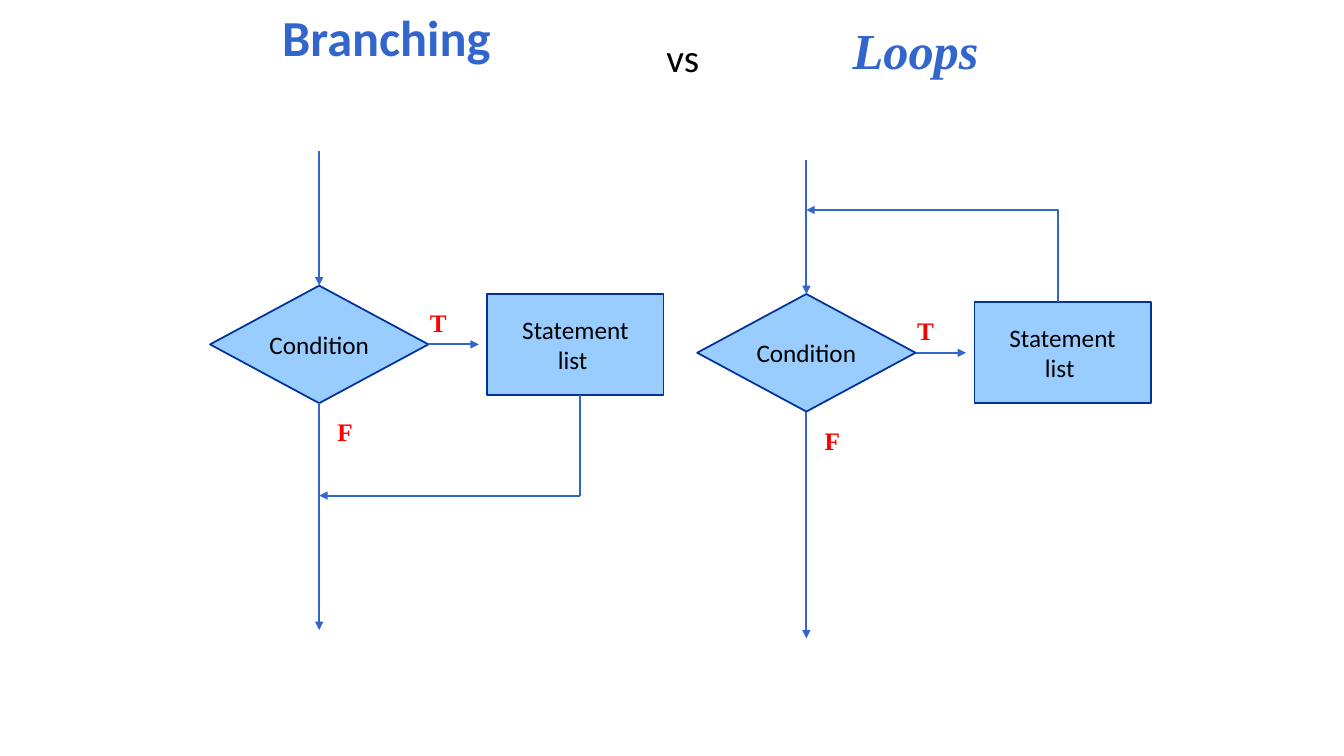
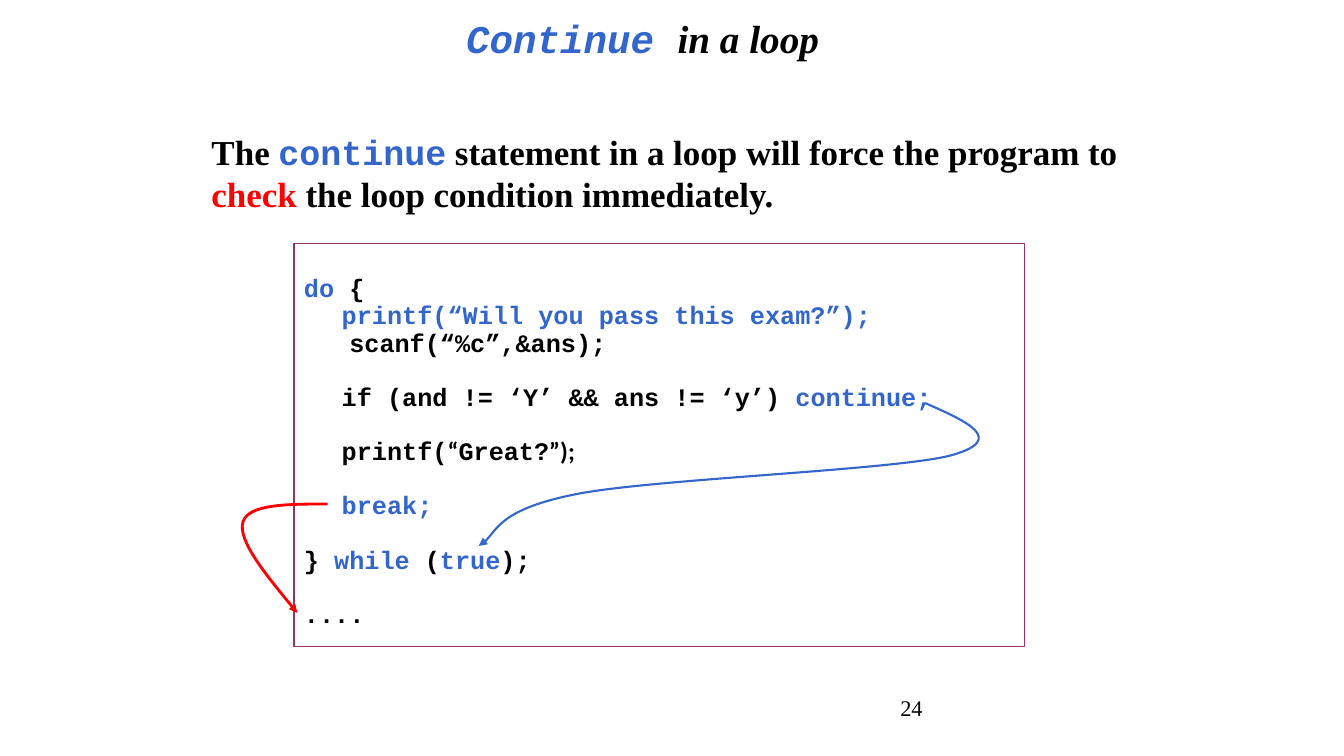
from dataclasses import dataclass
from typing import Optional

from lxml import etree
from pptx import Presentation
from pptx.dml.color import RGBColor
from pptx.enum.shapes import MSO_CONNECTOR, MSO_SHAPE
from pptx.enum.text import MSO_ANCHOR, PP_ALIGN
from pptx.oxml.ns import qn
from pptx.util import Pt

DECISION = MSO_SHAPE.FLOWCHART_DECISION
PROCESS = MSO_SHAPE.FLOWCHART_PROCESS
RECTANGLE = MSO_SHAPE.RECTANGLE
STRAIGHT = MSO_CONNECTOR.STRAIGHT
TOP, MIDDLE = MSO_ANCHOR.TOP, MSO_ANCHOR.MIDDLE
LEFT, CENTER = PP_ALIGN.LEFT, PP_ALIGN.CENTER
TOP_SITE, BOTTOM_SITE, RIGHT_SITE = 0, 2, 3

BLUE, NAVY, SKY = "3366CC", "003399", "99CCFF"
RED, PLUM, BLACK = "FF0000", "993366", "000000"
SANS, SERIF, MONO = "Calibri", "Times New Roman", "Courier New"
CODE_PITCH = 19.4
CODE_INDENT = 27


@dataclass(frozen=True)
class Style:
    font: str
    size: float
    color: str = BLACK
    bold: bool = False
    italic: bool = False


@dataclass(frozen=True)
class Span:
    """A piece of text, with what differs from its paragraph's style."""
    text: str
    color: Optional[str] = None
    font: Optional[str] = None


@dataclass(frozen=True)
class Line:
    spans: tuple
    indent: float = 0
    gap: float = 0
    pitch: Optional[float] = None


@dataclass(frozen=True)
class Flow:
    """Where a flowchart starts, and how far its parts are moved."""
    left: float
    top: float


TITLE = Style(SANS, 36, BLUE, bold=True)
LOOP_TITLE = Style(SERIF, 36, BLUE, bold=True, italic=True)
CONTINUE_TITLE = Style(SERIF, 28, BLACK, bold=True, italic=True)
VERSUS = Style(SANS, 28)
NODE = Style(SANS, 18)
BRANCH = Style(SERIF, 18, RED, bold=True)
BODY = Style(SERIF, 25, bold=True)
CODE = Style(MONO, 18, bold=True)
PAGE_NUMBER = Style(SERIF, 16)


def code(*spans: Span, indent: float = 0, gap: float = 0) -> Line:
    return Line(spans, indent, gap, CODE_PITCH)


CODE_LINES = (
    code(Span("do ", BLUE), Span("{")),
    code(Span("printf(“Will you pass this exam?”);", BLUE), indent=CODE_INDENT),
    code(Span("scanf(“%c”,&ans);"), indent=32.4),
    code(Span("if (and != ‘Y’ && ans != ‘y’) "), Span("continue;", BLUE),
         indent=CODE_INDENT, gap=CODE_PITCH),
    code(Span("printf("), Span("“", font=SANS), Span("Great?"), Span("”);", font=SANS),
         indent=CODE_INDENT, gap=CODE_PITCH),
    code(Span("break;", BLUE), indent=CODE_INDENT, gap=CODE_PITCH),
    code(Span("} "), Span("while", BLUE), Span(" ("), Span("true", BLUE), Span(");"),
         gap=CODE_PITCH),
    code(Span("...."), gap=CODE_PITCH),
)


def rgb(color: str) -> RGBColor:
    return RGBColor.from_string(color)


# Text

def write(shape, lines, style: Style, align=LEFT, anchor=TOP, wrap=True) -> None:
    frame = shape.text_frame
    frame.word_wrap = wrap
    frame.vertical_anchor = anchor
    for number, line in enumerate(lines):
        para = frame.paragraphs[0] if number == 0 else frame.add_paragraph()
        para.alignment = align
        para.space_before = Pt(line.gap)
        if line.pitch:
            para.line_spacing = Pt(line.pitch)
        if line.indent:
            para._p.get_or_add_pPr().set("marL", str(Pt(line.indent)))
        font = para.font
        font.name, font.size = style.font, Pt(style.size)
        font.bold, font.italic = style.bold, style.italic
        font.color.rgb = rgb(style.color)
        for span in line.spans:
            run = para.add_run()
            run.text = span.text
            if span.color:
                run.font.color.rgb = rgb(span.color)
            if span.font:
                run.font.name = span.font


def plain(*texts: str) -> list:
    return [Line((Span(text),)) for text in texts]


def add_text(page, left, top, width, height, lines, style: Style,
             align=LEFT, anchor=TOP, wrap=True):
    box = page.shapes.add_textbox(Pt(left), Pt(top), Pt(width), Pt(height))
    write(box, lines, style, align, anchor, wrap)
    return box


def add_title(page, left, top, width, height, lines, style: Style) -> None:
    add_text(page, left, top, width, height, lines, style, CENTER, MIDDLE)


# Shapes and lines

def set_line(shape, color: str, width: float, arrow: bool = False) -> None:
    shape.line.color.rgb = rgb(color)
    shape.line.width = Pt(width)
    if arrow:
        outline = shape.line._get_or_add_ln()
        etree.SubElement(outline, qn("a:tailEnd")).set("type", "triangle")


def add_box(page, kind, left, top, width, height, line_color: str,
            line_width: float, fill: Optional[str] = None):
    box = page.shapes.add_shape(kind, Pt(left), Pt(top), Pt(width), Pt(height))
    box.shadow.inherit = False
    if fill:
        box.fill.solid()
        box.fill.fore_color.rgb = rgb(fill)
    else:
        box.fill.background()
    set_line(box, line_color, line_width)
    return box


def add_line(page, start, end, arrow: bool = True):
    x1, y1, x2, y2 = (Pt(value) for value in (*start, *end))
    line = page.shapes.add_connector(STRAIGHT, x1, y1, x2, y2)
    set_line(line, BLUE, 1.5, arrow)
    etree.SubElement(line._element.spPr, qn("a:effectLst"))
    return line


def add_arrow_path(page, points, color: str, width: float, curved: bool = False) -> None:
    """Draw an open arrow; when curved, each three points make one Bezier."""
    start, *rest = [(Pt(x), Pt(y)) for x, y in points]
    builder = page.shapes.build_freeform(*start)
    builder.add_line_segments(rest, close=False)
    shape = builder.convert_to_shape()
    shape.shadow.inherit = False
    shape.fill.background()
    set_line(shape, color, width, arrow=True)
    if curved:
        steps = list(shape._element.iter(qn("a:lnTo")))
        for first in range(0, len(steps), 3):
            curve = etree.Element(qn("a:cubicBezTo"))
            steps[first].addprevious(curve)
            for step in steps[first:first + 3]:
                curve.append(step[0])
                step.getparent().remove(step)


def add_flow(page, flow: Flow) -> None:
    """Draw the part that branching and loops have in common."""
    x, y = flow.left, flow.top
    middle = x + 78
    condition = add_box(page, DECISION, x, y + 96, 156, 84, NAVY, 1.25, SKY)
    write(condition, plain("Condition"), NODE, CENTER, MIDDLE, wrap=False)
    statements = add_box(page, PROCESS, x + 198, y + 102, 126, 72, NAVY, 1.25, SKY)
    write(statements, plain("Statement", "list "), NODE, CENTER, MIDDLE, wrap=False)
    add_text(page, x + 150, y + 108, 26, 29, plain("T"), BRANCH, wrap=False)
    add_text(page, x + 84, y + 186, 25, 29, plain("F"), BRANCH, wrap=False)

    entry = add_line(page, (middle, y), (middle, y + 96))
    entry.end_connect(condition, TOP_SITE)
    when_true = add_line(page, (x + 156, y + 138), (x + 192, y + 138))
    when_true.begin_connect(condition, RIGHT_SITE)
    when_false = add_line(page, (middle, y + 180), (middle, y + 342))
    when_false.begin_connect(condition, BOTTOM_SITE)


# Slides

def build_comparison(page) -> None:
    add_title(page, 552, 17, 204, 36, plain("Loops"), LOOP_TITLE)
    add_title(page, 174, 8, 204, 36, plain("Branching"), TITLE)
    add_text(page, 469, 20, 45, 41, plain("vs"), VERSUS)

    # Branching: the statements rejoin the way out
    add_flow(page, Flow(150, 108))
    add_line(page, (414, 354), (228, 354))
    add_line(page, (414, 354), (414, 282), arrow=False)

    # Loop: the statements lead back to the condition
    add_flow(page, Flow(498, 114))
    add_arrow_path(page, [(756, 216), (756, 150), (576, 150)], BLUE, 1.5)


def build_continue(page) -> None:
    add_text(page, 636, 492, 150, 36, plain("24"), PAGE_NUMBER)
    add_title(page, 294, 6, 330, 42,
              [Line((Span("Continue ", BLUE, MONO), Span("in a loop")))], CONTINUE_TITLE)
    statement = Line((
        Span("The "), Span("continue", BLUE, MONO),
        Span(" statement in a loop will force the program to "),
        Span("check", RED), Span(" the loop condition immediately.")))
    add_text(page, 144, 90, 678, 68, [statement], BODY)

    # Code listing
    listing = add_box(page, RECTANGLE, 210, 174, 522, 288, PLUM, 1)
    listing.text_frame.margin_top = Pt(3.6 + CODE_PITCH)
    write(listing, CODE_LINES, CODE)

    # Jumps made by continue and break
    add_arrow_path(page, [
        (661, 288), (690.5, 301), (720, 314), (679, 325.4),
        (637, 336), (468.7, 342), (412.6, 352.8),
        (357, 363.6), (353.5, 383.8), (342, 390)], BLUE, 1.5, curved=True)
    add_arrow_path(page, [
        (234, 360), (205.9, 360), (177.1, 360), (173.5, 373),
        (169.9, 385.9), (190.8, 411.8), (212.4, 437.8)], RED, 2, curved=True)


def main() -> None:
    deck = Presentation()
    deck.slide_width, deck.slide_height = Pt(960), Pt(540)
    blank = deck.slide_layouts[6]
    for build in (build_comparison, build_continue):
        build(deck.slides.add_slide(blank))
    deck.save("out.pptx")


if __name__ == "__main__":
    main()
